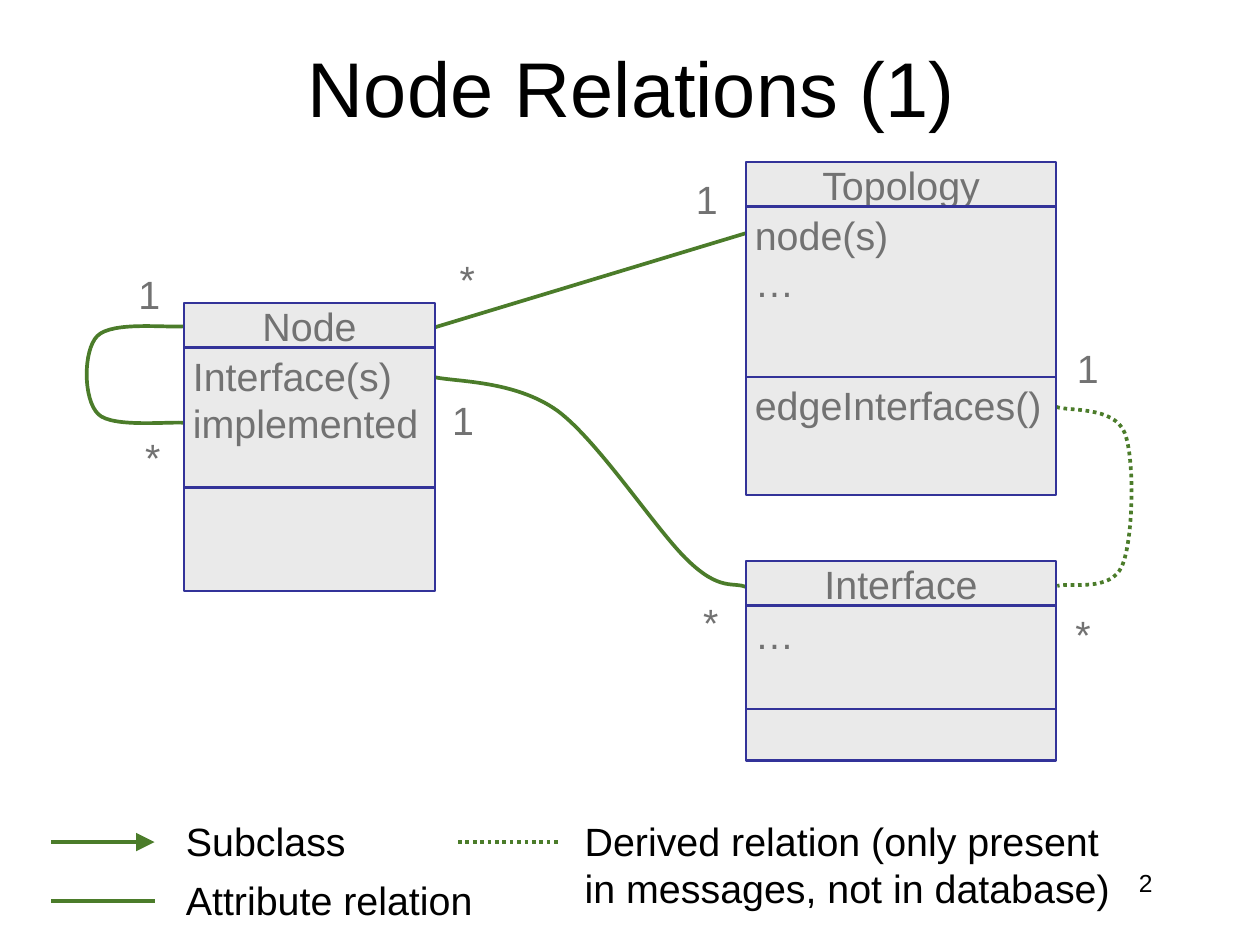
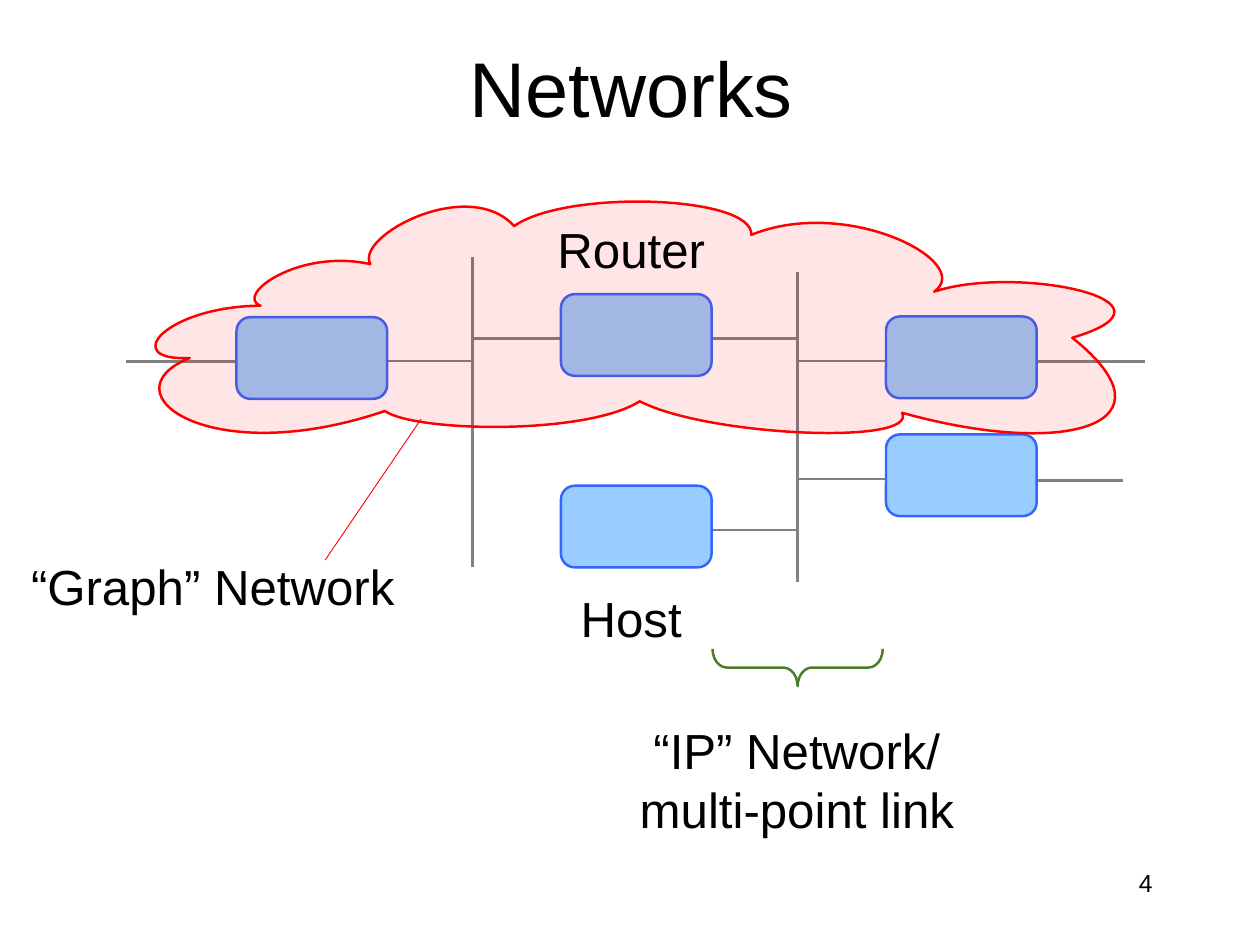
from lxml import etree
from pptx import Presentation
from pptx.dml.color import RGBColor
from pptx.enum.dml import MSO_LINE
from pptx.enum.shapes import MSO_CONNECTOR, MSO_SHAPE
from pptx.enum.text import MSO_ANCHOR, PP_ALIGN
from pptx.oxml.ns import qn
from pptx.util import Cm, Pt

LEFT, MID, RIGHT = PP_ALIGN.LEFT, PP_ALIGN.CENTER, PP_ALIGN.RIGHT
TOP, CENTER = MSO_ANCHOR.TOP, MSO_ANCHOR.MIDDLE
DOTS = MSO_LINE.ROUND_DOT
STRAIGHT = MSO_CONNECTOR.STRAIGHT
RECT = MSO_SHAPE.FLOWCHART_PROCESS
ROUND = MSO_SHAPE.ROUNDED_RECTANGLE
BRACE = MSO_SHAPE.RIGHT_BRACE

FONT = "Arial"
COLORS = {
    "ink": "000000", "label": "727272", "panel": "EAEAEA", "frame": "333399",
    "green": "4B7C2A", "wire": "808080", "node": "99CCFF", "edge": "3366FF",
    "cloud": "FF0000",
}

LOOP = [(-0.41, -0.05), (-2.11, 0.15), (-2.51, -0.25),
        (-2.95, -0.66), (-2.95, -2.08), (-2.54, -2.49),
        (-2.11, -2.92), (-0.56, -2.72), (-0.03, -2.77)]
SWEEP = [(0.61, 0.15), (2.31, 0.08), (3.56, 0.97),
         (4.75, 1.85), (6.43, 4.45), (7.32, 5.28),
         (8.23, 6.15), (8.61, 5.87), (8.97, 6.02)]
HOOK = [(0.33, 0.13), (1.65, -0.03), (1.96, 0.74),
        (2.26, 1.5), (2.21, 3.84), (1.88, 4.57),
        (1.55, 5.31), (0.41, 5.03), (0.03, 5.13)]
CLOUD = [(-2.03, 0.1), (-0.71, -1.47), (2.03, -1.5),
         (1.27, -1.78), (3.1, -3.15), (5.18, -2.69),
         (4.72, -3.48), (7.98, -5.23), (9.3, -3.78),
         (10.77, -4.83), (16.15, -4.67), (16.1, -3.53),
         (18.85, -4.65), (22.53, -2.74), (21.34, -1.9),
         (23.67, -2.69), (28.85, -1.63), (25.3, -0.58),
         (28.4, 1.88), (25.2, 2.9), (20.42, 1.57),
         (20.9, 2.51), (14.83, 2.24), (12.9, 1.24),
         (11.38, 2.21), (6.5, 2.13), (5.59, 1.52),
         (0.56, 3.23), (-2.46, 0.99), (0, 0)]


def color(name):
    """Return the named colour."""
    return RGBColor.from_string(COLORS[name])


def stroke(line, name, width, dash=None):
    """Style a line."""
    line.color.rgb = color(name)
    line.width = Pt(width)
    if dash is not None:
        line.dash_style = dash


def write(shape, lines, size, name="ink", align=LEFT, anchor=TOP, pad=(0.25, 0.13)):
    """Fill a shape with one paragraph per line."""
    frame = shape.text_frame
    frame.word_wrap = False
    frame.vertical_anchor = anchor
    frame.margin_left = frame.margin_right = Cm(pad[0])
    frame.margin_top = frame.margin_bottom = Cm(pad[1])
    for i, line in enumerate(lines):
        para = frame.add_paragraph() if i else frame.paragraphs[0]
        para.alignment = align
        run = para.add_run()
        run.text = line
        run.font.name = FONT
        run.font.size = Pt(size)
        run.font.color.rgb = color(name)


def text(slide, x, y, w, h, lines, size, **style):
    """Add a text box."""
    box = slide.shapes.add_textbox(Cm(x), Cm(y), Cm(w), Cm(h))
    write(box, lines, size, **style)


def block(slide, kind, x, y, w, h, fill, edge):
    """Add a preset shape without shadow."""
    shape = slide.shapes.add_shape(kind, Cm(x), Cm(y), Cm(w), Cm(h))
    shape.shadow.inherit = False
    if fill:
        shape.fill.solid()
        shape.fill.fore_color.rgb = color(fill)
    else:
        shape.fill.background()
    stroke(shape.line, edge, 2)
    return shape


def link(slide, x1, y1, x2, y2, name, width, dash=None, arrow=False):
    """Join two points with a straight line."""
    line = slide.shapes.add_connector(STRAIGHT, Cm(x1), Cm(y1), Cm(x2), Cm(y2))
    stroke(line.line, name, width, dash)
    if arrow:
        etree.SubElement(line.line._get_or_add_ln(), qn("a:tailEnd"),
                         type="triangle", w="lg", len="lg")
    etree.SubElement(line._element.spPr, qn("a:effectLst"))


def curve(slide, x, y, points, name, width, dash=None, close=False):
    """Draw cubic curves through offsets from a start, three to a segment."""
    pen = slide.shapes.build_freeform(Cm(x), Cm(y))
    pen.add_line_segments([(Cm(x + dx), Cm(y + dy)) for dx, dy in points], close=close)
    shape = pen.convert_to_shape()
    shape.shadow.inherit = False
    shape.fill.background()
    stroke(shape.line, name, width, dash)
    steps = list(shape._element.iter(qn("a:lnTo")))
    for i in range(0, len(points), 3):
        bend = etree.Element(qn("a:cubicBezTo"))
        steps[i].addprevious(bend)
        for step in steps[i:i + 3]:
            bend.append(step[0])
            step.getparent().remove(step)
    return shape


def start(deck, title, page):
    """Add a slide with its title and number."""
    slide = deck.slides.add_slide(deck.slide_layouts[6])
    pad = (0.36, 0.18)
    text(slide, 2.74, 0.84, 30.71, 3.3, [title], 63, align=MID, anchor=CENTER, pad=pad)
    text(slide, 25.88, 24.69, 7.52, 1.8, [str(page)], 20, align=RIGHT, pad=pad)
    return slide


def panel(slide, x, y, w, rows):
    """Stack the header and parts of one class."""
    for i, (h, lines) in enumerate(rows):
        part = block(slide, RECT, x, y, w, h, "panel", "frame")
        head = i == 0
        write(part, lines, 32, "label", MID if head else LEFT, CENTER if head else TOP)
        y += h


def counts(slide, sign, spots):
    """Centre a count on each spot."""
    w, h = 1.04, 1.63
    for x, y in spots:
        text(slide, x - w / 2, y - h / 2, w, h, [sign], 32,
             name="label", align=MID, anchor=CENTER)


def legend(slide, x, y):
    """Explain the line styles."""
    items = [
        (0, 0, 3.61, 14.25, ["Subclass"], None, True),
        (0, 1.69, 3.61, 14.25, ["Attribute relation"], None, False),
        (11.66, 0, 3.38, 18.85,
         ["Derived relation (only present", "in messages, not in database)"], DOTS, False),
    ]
    for dx, dy, gap, w, lines, dash, arrow in items:
        left, top = x + dx, y + dy
        link(slide, left, top, left + 2.96, top, "green", 3, dash, arrow)
        text(slide, left + gap, top - 0.84, w, 1.41 * len(lines), lines, 32)


def classes(deck):
    """Build the class diagram slide."""
    slide = start(deck, "Node Relations (1)", 2)
    link(slide, 12.4, 9.4, 21.39, 6.68, "green", 3)
    curve(slide, 5.33, 12.12, LOOP, "green", 3)
    curve(slide, 12.42, 10.8, SWEEP, "green", 3)
    curve(slide, 30.28, 11.66, HOOK, "green", 3, DOTS)
    panel(slide, 5.28, 8.69, 7.19,
          [(1.27, ["Node"]), (4.01, ["Interface(s)", "implemented"]), (2.97, [])])
    panel(slide, 21.39, 4.65, 8.89,
          [(1.27, ["Topology"]), (4.88, ["node(s)", "…"]), (3.38, ["edgeInterfaces()"])])
    panel(slide, 21.39, 16.08, 8.89,
          [(1.27, ["Interface"]), (2.97, ["…"]), (1.47, [])])
    counts(slide, "1", [(20.22, 5.69), (13.23, 12.04), (4.24, 8.43), (31.14, 10.54)])
    counts(slide, "*", [(13.4, 8), (20.38, 17.83), (4.38, 13.08), (31.05, 18.16)])
    legend(slide, 1.47, 24.13)


def mesh(slide, x, y):
    """Draw wires, routers, hosts and the cloud from a top left corner."""
    bus1, bus2, stub = 9.93, 19.25, 2.54
    for bus, top in ((bus1, 0), (bus2, 0.43)):
        link(slide, x + bus, y + top, x + bus, y + top + 8.89, "wire", 2)
    wires = [
        (0, 3.17, 2.99), (bus1 - stub, stub, 2.97), (bus1, stub, 2.33),
        (bus2 - stub, stub, 2.33), (bus2 - stub, stub, 7.82), (bus2, stub, 2.97),
        (bus2, stub, 6.35), (26.03, 3.18, 2.99), (26.03, stub, 6.4),
    ]
    for dx, w, dy in wires:
        link(slide, x + dx, y + dy, x + dx + w, y + dy, "wire", 2)
    for dx, dy in ((3.17, 1.72), (12.47, 6.55), (12.47, 1.06), (21.79, 1.7), (21.79, 5.08)):
        node = block(slide, ROUND, x + dx, y + dy, 4.32, 2.34, "node", "edge")
        node.adjustments[0] = 0.17
    cloud = curve(slide, x + 1.83, y + 2.89, CLOUD, "cloud", 2, close=True)
    cloud.fill.solid()
    cloud.fill.fore_color.rgb = color("cloud")
    tint = cloud._element.spPr.find(qn("a:solidFill"))[0]
    etree.SubElement(tint, qn("a:alpha"), val="10000")


def nets(deck):
    """Build the network slide."""
    slide = start(deck, "Networks", 4)
    mesh(slide, 3.61, 7.37)
    brace = block(slide, BRACE, 22.33, 16.69, 1.07, 4.88, None, "green")
    brace.rotation = 90
    brace.adjustments[0] = 0.38
    text(slide, 17.98, 20.5, 9.73, 3.86, ["“IP” Network/", "multi-point link"], 40, align=MID)
    text(slide, 0.64, 15.82, 11.43, 2.11, ["“Graph” Network"], 40)
    link(slide, 12.07, 12.01, 9.32, 16.05, "cloud", 0.75)
    for label, y in (("Host", 16.71), ("Router", 6.15)):
        text(slide, 15.53, y, 5.13, 1.96, [label], 40, align=MID, anchor=CENTER)


def main():
    """Build and save the deck."""
    deck = Presentation()
    deck.slide_width, deck.slide_height = Cm(36.12), Cm(27.08)
    classes(deck)
    nets(deck)
    deck.save("out.pptx")


if __name__ == "__main__":
    main()
